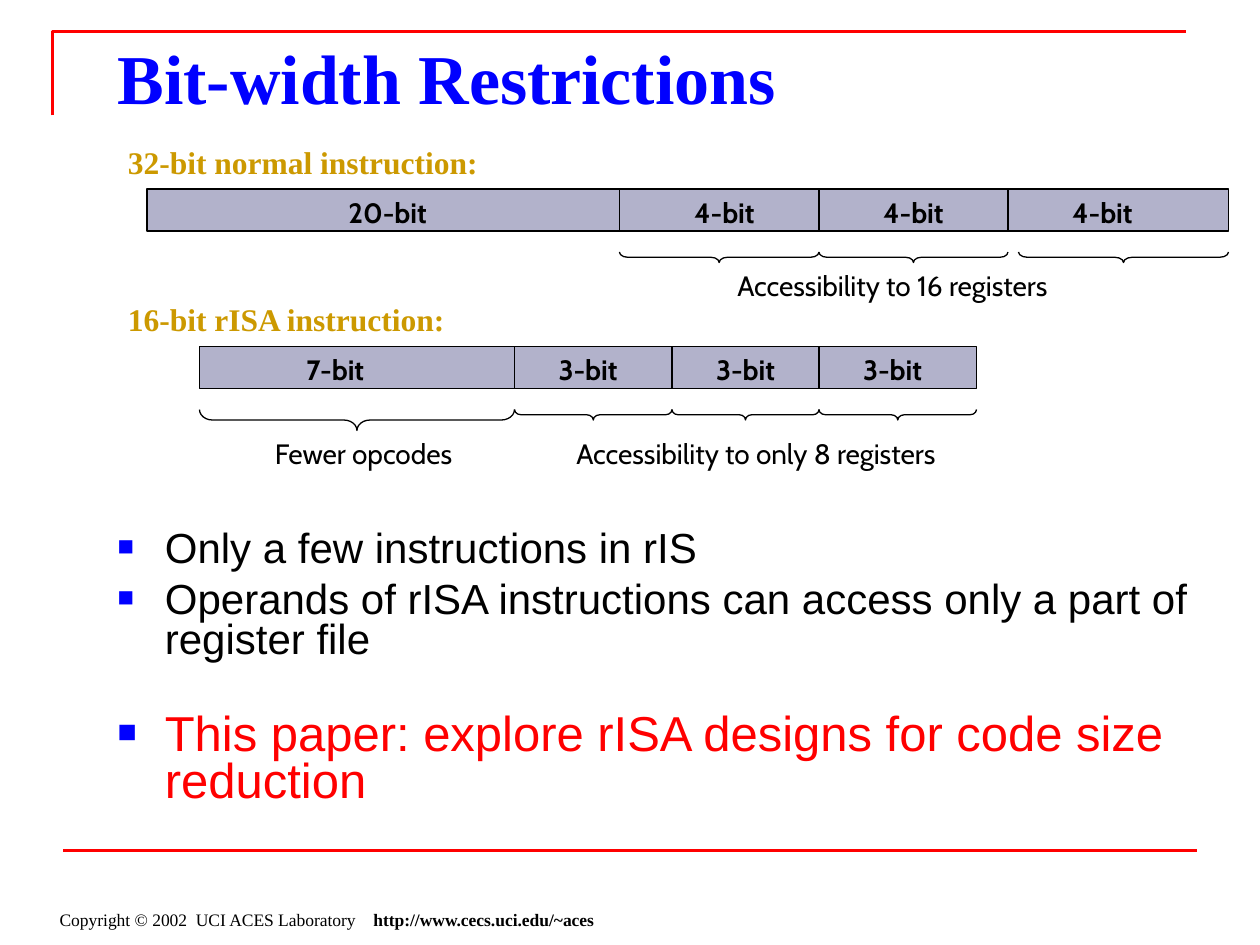
from lxml import etree
from pptx import Presentation
from pptx.dml.color import RGBColor
from pptx.enum.shapes import MSO_CONNECTOR, MSO_SHAPE
from pptx.enum.text import MSO_ANCHOR, PP_ALIGN
from pptx.oxml.ns import qn
from pptx.util import Pt

PX = 9525  # 96 px to the inch
LEFT, CENTER = PP_ALIGN.LEFT, PP_ALIGN.CENTER
TOP = MSO_ANCHOR.TOP
RECTANGLE, BRACE = MSO_SHAPE.RECTANGLE, MSO_SHAPE.LEFT_BRACE
STRAIGHT = MSO_CONNECTOR.STRAIGHT
SERIF, SANS, LABEL = "Times New Roman", "Arial", "Cabin"
BLACK, RED, BLUE, GOLD, SLATE = "000000", "FF0000", "0000FF", "CC9900", "666699"
color = RGBColor.from_string

deck = Presentation()
deck.slide_width, deck.slide_height = 960 * PX, 720 * PX
page = deck.slides.add_slide(deck.slide_layouts[1])
shapes = page.shapes


def add_text(left, top, width, height, text, name, size, hex_color, bold=False, align=CENTER):
    box = shapes.add_textbox(left * PX, top * PX, width * PX, height * PX)
    box.text_frame.word_wrap = True
    para = box.text_frame.paragraphs[0]
    para.text = text
    para.alignment = align
    font = para.runs[0].font
    font.name, font.size, font.bold = name, Pt(size), bold
    font.color.rgb = color(hex_color)
    return para


def add_line(x1, y1, x2, y2, hex_color, width):
    line = shapes.add_connector(STRAIGHT, x1 * PX, y1 * PX, x2 * PX, y2 * PX)
    line.line.color.rgb = color(hex_color)
    line.line.width = Pt(width)
    etree.SubElement(line._element.spPr, qn("a:effectLst"))


# Red frame lines
builder = shapes.build_freeform(40, 88, scale=PX)
builder.add_line_segments([(40, 24), (904, 24)], close=False)
corner = builder.convert_to_shape()
corner.shadow.inherit = False
corner.fill.background()
corner.line.color.rgb = color(RED)
corner.line.width = Pt(1.5)
add_line(48, 648, 912, 648, RED, 1.5)

# Copyright footer, with the address at a tab stop
footer = add_text(36, 688, 492, 26, "Copyright © 2002  UCI ACES Laboratory\t",
                  SERIF, 10, BLACK, align=LEFT)
tabs = etree.SubElement(footer._p.get_or_add_pPr(), qn("a:tabLst"))
etree.SubElement(tabs, qn("a:tab"), pos=str(239 * PX), algn="l")
span = footer.add_run()
span.text = "http://www.cecs.uci.edu/~aces"
span.font.name, span.font.size, span.font.bold = SERIF, Pt(10), True
span.font.color.rgb = color(BLACK)

# Title
title = shapes.title
title.left, title.top, title.width, title.height = 80 * PX, 16 * PX, 818 * PX, 60 * PX
title.text_frame.text = "Bit-width Restrictions"
title.text_frame.vertical_anchor = TOP
title.text_frame.margin_top = 10 * PX
para = title.text_frame.paragraphs[0]
para.alignment = LEFT
font = para.runs[0].font
font.name, font.size, font.bold = SERIF, Pt(40), True
font.color.rgb = color(BLUE)

# Bullet list: text, size, colour, space before
bullets = [
    ("Only a few instructions in rIS", 24, BLACK, 0),
    ("Operands of rISA instructions can access only a part of register file", 24, BLACK, 6),
    ("This paper: explore rISA designs for code size reduction", 28, RED, 29),
]
body = page.placeholders[1]
body.left, body.top, body.width, body.height = 80 * PX, 400 * PX, 840 * PX, 272 * PX
frame = body.text_frame
frame.vertical_anchor = TOP
frame.text = "\n".join(bullet[0] for bullet in bullets)
for para, (text, size, hex_color, space) in zip(frame.paragraphs, bullets):
    props = para._p.get_or_add_pPr()
    props.set("marL", str(36 * PX))
    props.set("indent", str(-36 * PX))
    bullet_color = etree.SubElement(props, qn("a:buClr"))
    etree.SubElement(bullet_color, qn("a:srgbClr"), val=BLUE)
    etree.SubElement(props, qn("a:buSzPct"), val="65000")
    etree.SubElement(props, qn("a:buFont"), typeface=SANS)
    etree.SubElement(props, qn("a:buChar"), char="■")
    para.line_spacing = 0.8
    para.space_before = Pt(space)
    font = para.runs[0].font
    font.name, font.size = SANS, Pt(size)
    font.color.rgb = color(hex_color)

# Instruction formats: top, field edges, fields (text, left, width), braces (left, right, depth)
formats = [
    (144, [112, 472, 624, 768, 936],
     [("20-bit", 256, 120), ("4-bit", 512, 80), ("4-bit", 656, 80), ("4-bit", 800, 80)],
     [(472, 624, 8), (624, 768, 8), (776, 936, 8)]),
    (264, [152, 392, 512, 624, 744],
     [("7-bit", 224, 80), ("3-bit", 408, 80), ("3-bit", 528, 80), ("3-bit", 640, 80)],
     [(152, 392, 16), (392, 512, 8), (512, 624, 8), (624, 744, 8)]),
]
for top, edges, fields, braces in formats:
    bar = shapes.add_shape(RECTANGLE, edges[0] * PX, top * PX,
                           (edges[-1] - edges[0]) * PX, 32 * PX)
    bar.shadow.inherit = False
    bar.fill.solid()
    bar.fill.fore_color.rgb = color(SLATE)
    fill = bar._element.spPr.find(qn("a:solidFill"))
    etree.SubElement(fill[0], qn("a:alpha"), val="50000")
    bar.line.color.rgb = color(BLACK)
    bar.line.width = Pt(0.75)

    for edge in edges[1:-1]:
        add_line(edge, top, edge, top + 32, BLACK, 0.75)
    for index, (text, left, width) in enumerate(fields):
        add_text(left, top, width, 36, text, LABEL, 16, BLACK, True, CENTER if index else LEFT)

    # An upright brace turned about its centre to point down
    for left, right, depth in braces:
        span_width = right - left
        center_x, center_y = (left + right) / 2, top + 48 + depth / 2
        brace = shapes.add_shape(BRACE, int((center_x - depth / 2) * PX),
                                 int((center_y - span_width / 2) * PX),
                                 depth * PX, span_width * PX)
        brace.rotation = 270
        brace.adjustments[0] = span_width / 24 / depth
        brace.shadow.inherit = False
        brace.fill.background()
        brace.line.color.rgb = color(BLACK)
        brace.line.width = Pt(0.75)

# Headings and captions
add_text(88, 104, 352, 38, "32-bit normal instruction:", SERIF, 18, GOLD, True, LEFT)
add_text(88, 224, 344, 38, "16-bit rISA instruction:", SERIF, 18, GOLD, True, LEFT)
add_text(496, 200, 368, 36, "Accessibility to 16 registers", LABEL, 16, BLACK)
add_text(200, 328, 168, 36, "Fewer opcodes", LABEL, 16, BLACK, align=LEFT)
add_text(392, 328, 368, 36, "Accessibility to only 8 registers", LABEL, 16, BLACK)

deck.save("out.pptx")
